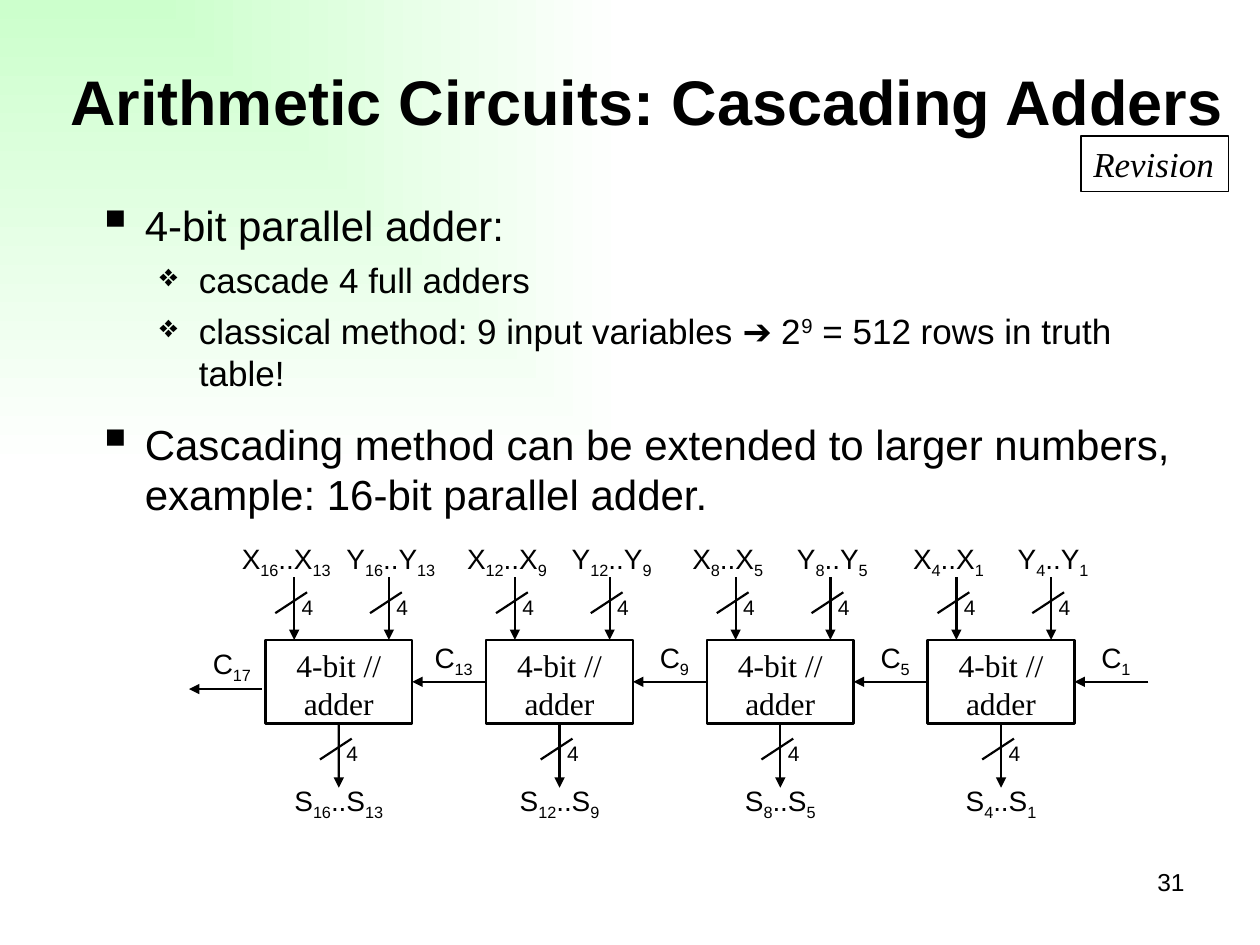
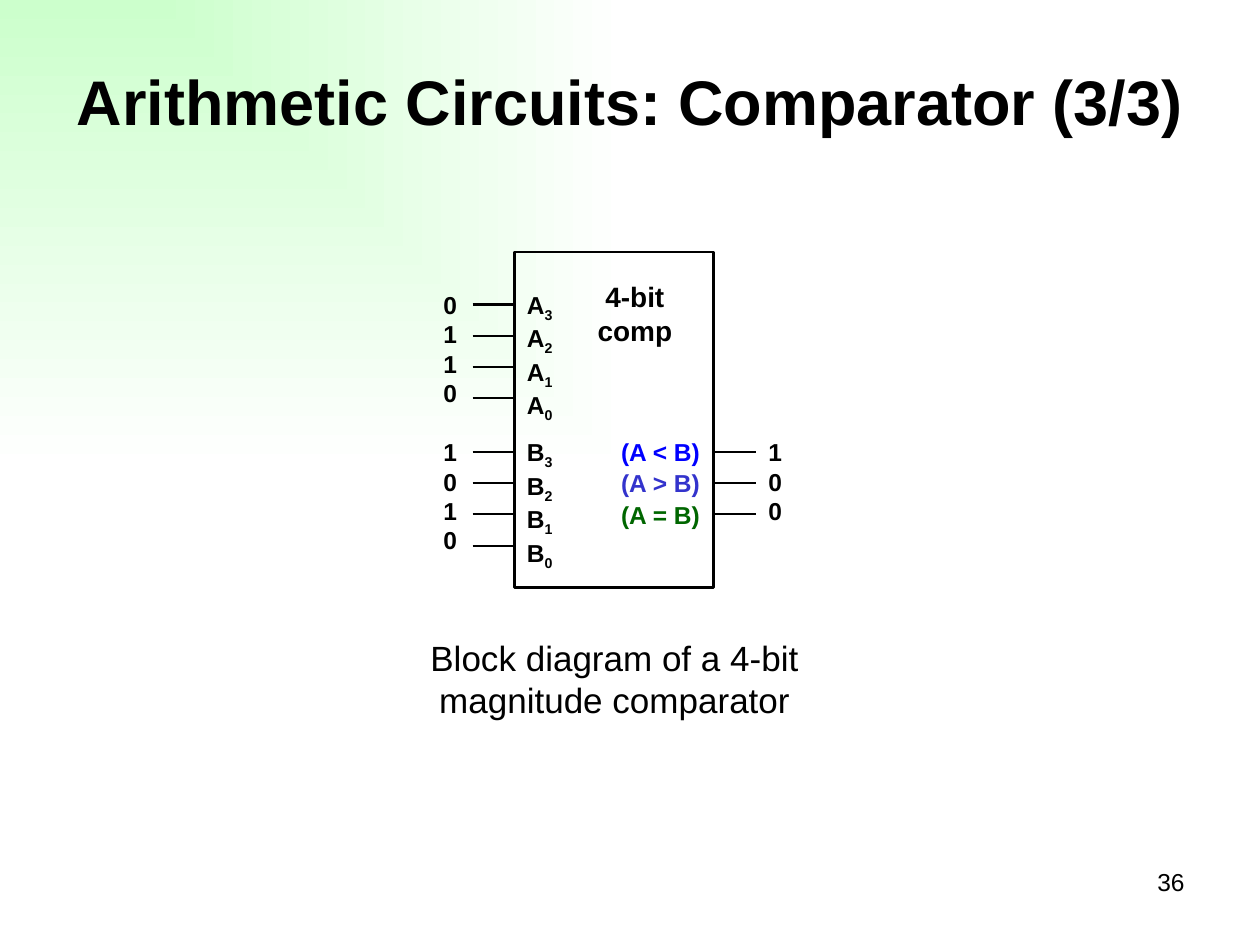
import lxml.etree
import pptx
import pptx.dml.color
import pptx.enum.shapes
import pptx.enum.text
import pptx.oxml.ns
import pptx.util

Cm = pptx.util.Cm
Pt = pptx.util.Pt
RGB = pptx.dml.color.RGBColor
BLACK = RGB(0x00, 0x00, 0x00)
WHITE = RGB(0xFF, 0xFF, 0xFF)
MINT = RGB(0xCC, 0xFF, 0xCC)
BLUE = RGB(0x00, 0x00, 0xFF)
INDIGO = RGB(0x33, 0x33, 0xCC)
GREEN = RGB(0x00, 0x66, 0x00)
SANS = "Arial"
SERIF = "Times New Roman"
LEFT = pptx.enum.text.PP_ALIGN.LEFT
MID = pptx.enum.text.PP_ALIGN.CENTER
RIGHT = pptx.enum.text.PP_ALIGN.RIGHT
RECT = pptx.enum.shapes.MSO_SHAPE.RECTANGLE
LINE = pptx.enum.shapes.MSO_CONNECTOR.STRAIGHT
qn = pptx.oxml.ns.qn
SubElement = lxml.etree.SubElement


def put(slide, x, y, w, h, lines, size, align=MID, bold=False,
        color=BLACK, font=SANS, edge=None):
    """Add text, outlined if edge is set; pieces between bars are subscripts."""
    area = Cm(x), Cm(y), Cm(w), Cm(h)
    if edge:
        shape = slide.shapes.add_shape(RECT, *area)
        shape.shadow.inherit = False
        shape.fill.background()
        shape.line.color.rgb = BLACK
        shape.line.width = Pt(edge)
    else:
        shape = slide.shapes.add_textbox(*area)
    frame = shape.text_frame
    frame.word_wrap = True
    frame.vertical_anchor = pptx.enum.text.MSO_ANCHOR.TOP
    for n, line in enumerate(lines):
        para = frame.add_paragraph() if n else frame.paragraphs[0]
        para.alignment = align
        para.font.size = Pt(size)
        para.font.name = font
        para.font.bold = bold
        para.font.color.rgb = color
        for i, piece in enumerate(line.split("|")):
            if piece:
                run = para.add_run()
                run.text = piece
                if i % 2:
                    run._r.get_or_add_rPr().set("baseline", "-25000")
    return shape


def wire(slide, x1, y1, x2, y2, arrow=False):
    """Add a straight line, with an arrowhead at its end if asked."""
    link = slide.shapes.add_connector(LINE, Cm(x1), Cm(y1), Cm(x2), Cm(y2))
    link.line.color.rgb = BLACK
    link.line.width = Pt(1.25)
    if arrow:
        SubElement(link.line._get_or_add_ln(), qn("a:tailEnd"), type="triangle")
    SubElement(link._element.spPr, qn("a:effectLst"))
    return link


deck = pptx.Presentation()
deck.slide_width = Cm(25.4)
deck.slide_height = Cm(19.05)

# Shared background: mint corner fading to white
master = deck.slide_master
fill = master.background.fill
fill.gradient()
for stop, color in zip(fill.gradient_stops, (MINT, WHITE)):
    stop.color.rgb = color
grad = master.element.find(".//" + qn("a:gradFill"))
grad.remove(grad.find(qn("a:lin")))
fade = SubElement(grad, qn("a:path"), path="rect")
SubElement(fade, qn("a:fillToRect"), r="100000", b="100000")

# Shared title and page number
slides = []
for title, x, w, page in (
        ("Arithmetic Circuits: Cascading Adders", 1.07, 23.93, "31"),
        ("Arithmetic Circuits: Comparator (3/3)", 0.85, 23.7, "36")):
    slide = deck.slides.add_slide(deck.slide_layouts[6])
    head = put(slide, x, 0.43, w, 3.18, [title], 36, bold=True)
    head.text_frame.vertical_anchor = pptx.enum.text.MSO_ANCHOR.MIDDLE
    put(slide, 18.21, 17.35, 5.92, 1.32, [page], 14, RIGHT)
    slides.append(slide)
adder, comp = slides

# Adders: bullet text
body = adder.shapes.add_textbox(Cm(1.7), Cm(3.89), Cm(22.43), Cm(6.78)).text_frame
body.word_wrap = True
points = (
    (0, 0, "4-bit parallel adder:"),
    (1, 5, "cascade 4 full adders"),
    (1, 5, "classical method: 9 input variables ➔ 2|9| = 512 rows in truth table!"),
    (0, 14.5, "Cascading method can be extended to larger numbers, "
              "example: 16-bit parallel adder."),
)
styles = ((0.97, 0.97, "120000", "▪", 24), (2.06, 0.79, "90000", "❖", 20))
for n, (level, gap, line) in enumerate(points):
    margin, hang, scale, sign, size = styles[level]
    para = body.add_paragraph() if n else body.paragraphs[0]
    para.level = level
    props = para._p.get_or_add_pPr()
    props.set("marL", str(Cm(margin)))
    props.set("indent", str(-Cm(hang)))
    SubElement(props, qn("a:buSzPct"), val=scale)
    SubElement(props, qn("a:buChar"), char=sign)
    if gap:
        para.space_before = Pt(gap)
    para.font.size = Pt(size)
    para.font.name = SANS
    para.font.color.rgb = BLACK
    for i, piece in enumerate(line.split("|")):
        run = para.add_run()
        run.text = piece
        if i % 2:
            run._r.get_or_add_rPr().set("baseline", "30000")

# Adders: four blocks with their inputs and sums
start, step, wide, top, high = 5.35, 4.45, 2.96, 12.9, 1.69
base, half = top + high, top + high / 2
blocks = []
for n, (hi, lo) in enumerate(((16, 13), (12, 9), (8, 5), (4, 1))):
    x = start + n * step
    mid = x + wide / 2
    block = put(adder, x, top, wide, high, ["4-bit // adder"], 18,
                font=SERIF, edge=1.5)
    blocks.append(block)
    for sign, cx, y in (("X", x + 0.42, 10.8), ("Y", x + 2.53, 10.8),
                        ("S", mid, 15.67)):
        put(adder, cx - 1.27, y, 2.54, 0.94, [f"{sign}|{hi}|..{sign}|{lo}|"], 16)
    for cx, y1, y2 in ((x + 0.58, 11.64, top), (x + 2.49, 11.64, top),
                       (mid, base, 15.88)):
        link = wire(adder, cx, y1, cx, y2, True)
        if y1 == base:
            link.begin_connect(block, 2)
        wire(adder, cx + 0.26, y1 + 0.3, cx - 0.38, y1 + 0.72)
        put(adder, cx - 0.15, y1 + 0.22, 0.84, 0.76, ["4"], 12)
    put(adder, x + wide + 0.1, 12.78, 1.47, 0.94, [f"C|{lo}|"], 16)

# Adders: carry chain
for n, block in enumerate(blocks):
    edge = start + n * step + wide
    link = wire(adder, edge + 1.49, half, edge, half, True)
    link.end_connect(block, 3)
    if n < 3:
        link.begin_connect(blocks[n + 1], 1)
wire(adder, 5.28, 13.89, 3.81, 13.89, True)
put(adder, 3.94, 12.9, 1.47, 0.94, ["C|17|"], 16)

# Adders: revision tag
tag = put(adder, 21.79, 2.74, 2.97, 1.12, ["Revision"], 20, LEFT,
          font=SERIF, edge=0.75)
tag.text_frame.word_wrap = False
tag.text_frame.paragraphs[0].font.italic = True

# Comparator: block, inputs and their values
left, right, row = 10.37, 14.39, 0.63
put(comp, left, 5.08, right - left, 6.77, [], 14, edge=1.5)
put(comp, 11.43, 5.51, 2.74, 1.63, ["4-bit comp"], 16, bold=True)
for sign, bits, y in (("A", "0110", 5.72), ("B", "1010", 8.69)):
    names = [f"{sign}|{i}|" for i in (3, 2, 1, 0)]
    put(comp, left, y, 1.22, 2.62, names, 14, LEFT, True)
    put(comp, 8.69, y, 1.22, 2.62, bits, 14, LEFT, True)
    for i in range(4):
        level = y + 0.42 + i * row
        wire(comp, 9.53, level, left, level)

# Comparator: outputs
for i, (test, color) in enumerate((("(A < B)", BLUE), ("(A > B)", INDIGO),
                                   ("(A = B)", GREEN))):
    y = 8.69 + i * row
    put(comp, 12.27, y, 2.34, 0.84, [test], 14, LEFT, True, color)
    wire(comp, right, y + 0.42, 15.24, y + 0.42)
put(comp, 15.24, 8.69, 1.22, 2.03, "100", 14, LEFT, True)

# Comparator: caption
put(comp, 8.26, 12.7, 8.26, 1.96,
    ["Block diagram of a 4-bit magnitude comparator"], 20)

deck.save("out.pptx")
